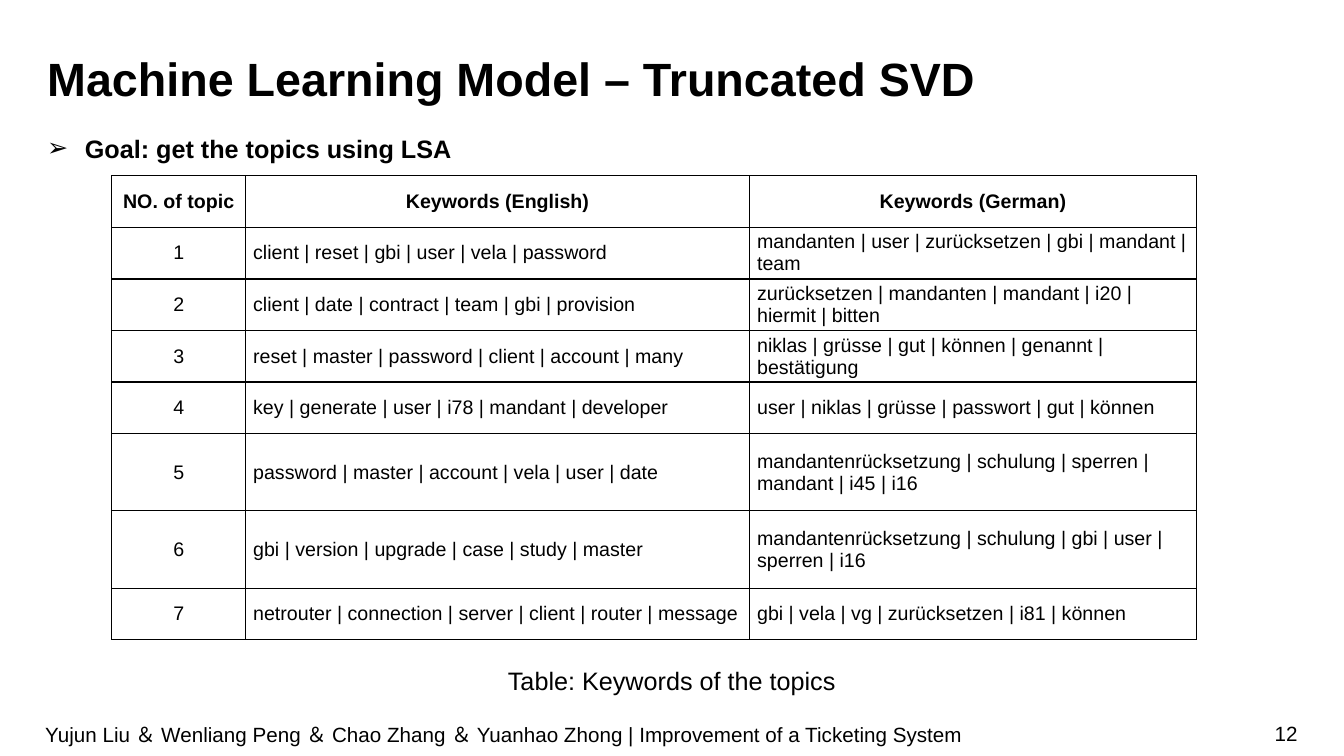
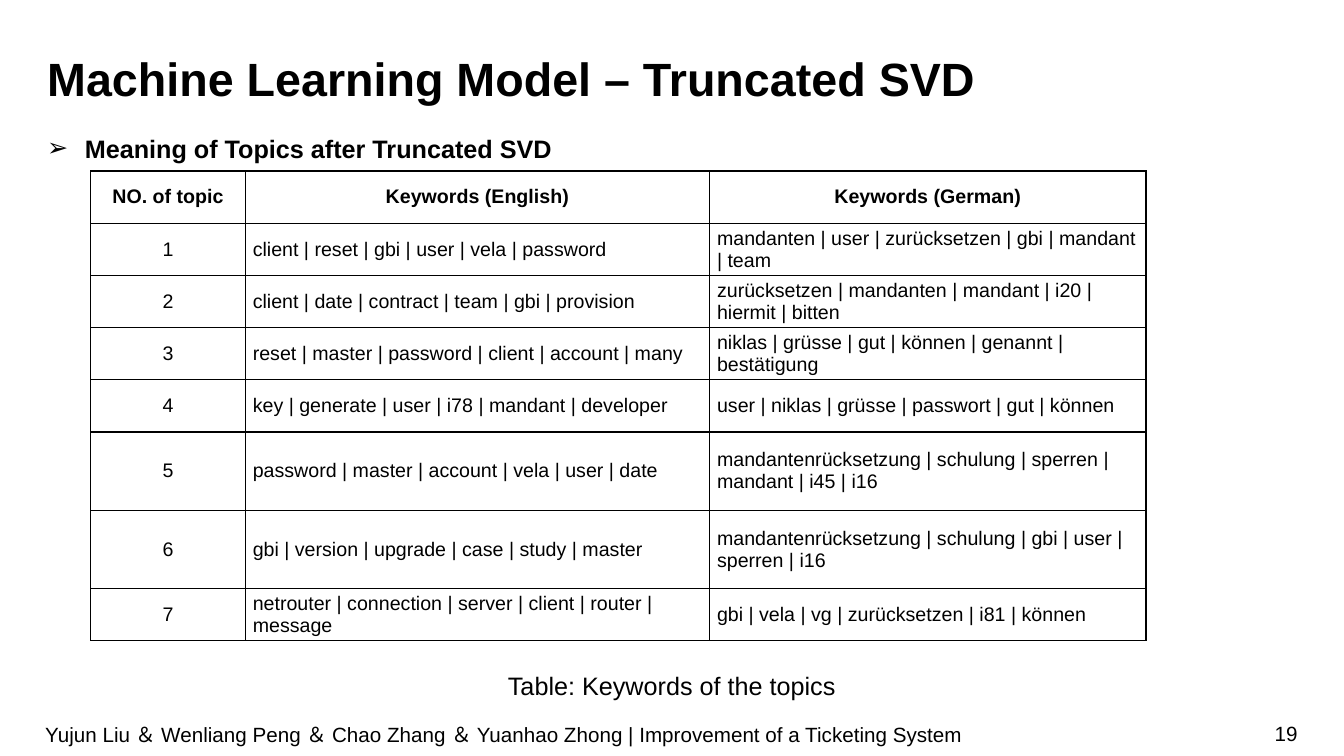
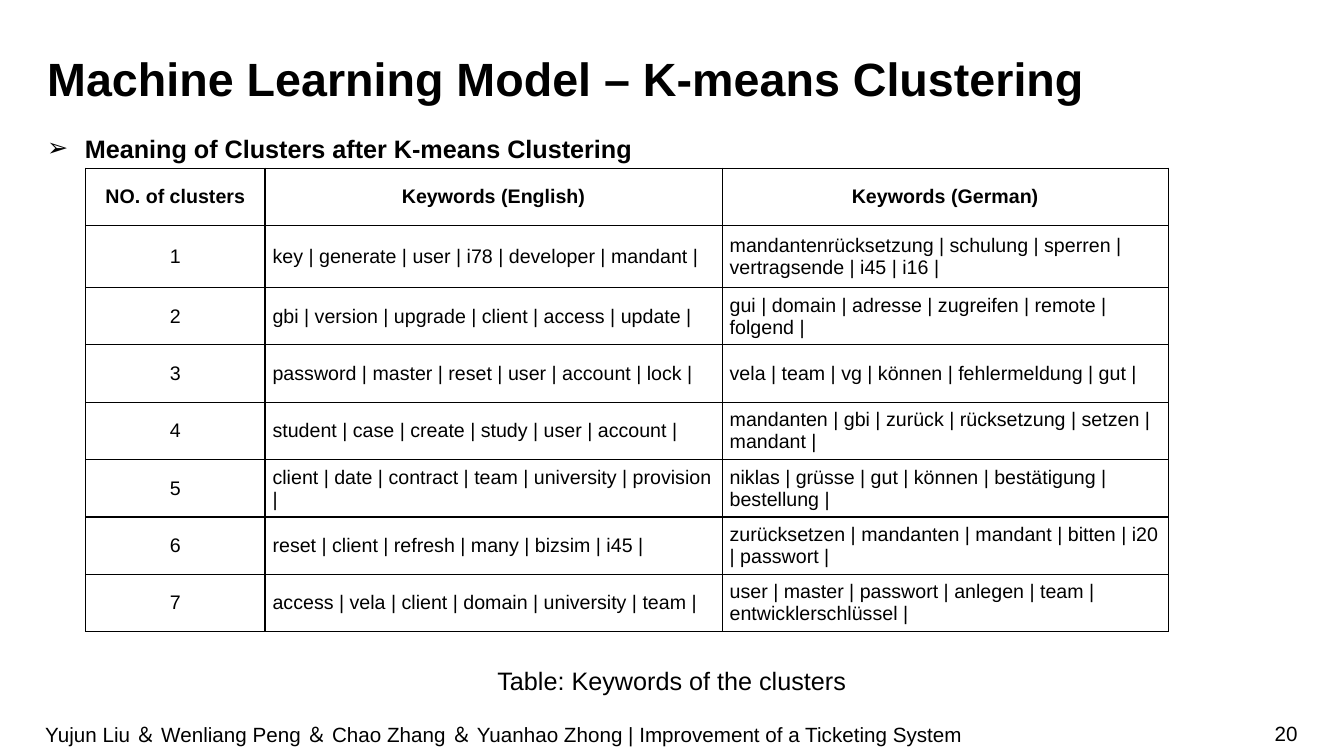
import pptx
import pptx.dml.color
import pptx.enum.text
import pptx.oxml
import pptx.oxml.ns
import pptx.util
from pptx.util import Cm

BLACK = pptx.dml.color.RGBColor(0x00, 0x00, 0x00)
FONT = "Arial"
ALIGN = pptx.enum.text.PP_ALIGN
ANCHOR = pptx.enum.text.MSO_ANCHOR

FOOTER = "Yujun Liu ＆ Wenliang Peng ＆ Chao Zhang ＆ Yuanhao Zhong | Improvement of a Ticketing System"

TOPIC_KEYWORDS = [
    ("client | reset | gbi | user | vela | password",
     "mandanten | user | zurücksetzen | gbi | mandant | team"),
    ("client | date | contract | team | gbi | provision",
     "zurücksetzen | mandanten | mandant | i20 | hiermit | bitten"),
    ("reset | master | password | client | account | many",
     "niklas | grüsse | gut | können | genannt | bestätigung"),
    ("key | generate | user | i78 | mandant | developer",
     "user | niklas | grüsse | passwort | gut | können"),
    ("password | master | account | vela | user | date",
     "mandantenrücksetzung | schulung | sperren | mandant | i45 | i16"),
    ("gbi | version | upgrade | case | study | master",
     "mandantenrücksetzung | schulung | gbi | user | sperren | i16"),
    ("netrouter | connection | server | client | router | message",
     "gbi | vela | vg | zurücksetzen | i81 | können"),
]
CLUSTER_KEYWORDS = [
    ("key | generate | user | i78 | developer | mandant |",
     "mandantenrücksetzung | schulung | sperren | vertragsende | i45 | i16 |"),
    ("gbi | version | upgrade | client | access | update |",
     "gui | domain | adresse | zugreifen | remote | folgend |"),
    ("password | master | reset | user | account | lock |",
     "vela | team | vg | können | fehlermeldung | gut |"),
    ("student | case | create | study | user | account |",
     "mandanten | gbi | zurück | rücksetzung | setzen | mandant |"),
    ("client | date | contract | team | university | provision |",
     "niklas | grüsse | gut | können | bestätigung | bestellung |"),
    ("reset | client | refresh | many | bizsim | i45 |",
     "zurücksetzen | mandanten | mandant | bitten | i20 | passwort |"),
    ("access | vela | client | domain | university | team |",
     "user | master | passwort | anlegen | team | entwicklerschlüssel |"),
]
TOPIC_ROW_WEIGHTS = (1, 1, 1, 1, 1, 1.5, 1.5, 1)
CLUSTER_ROW_WEIGHTS = (1, 1.08, 1, 1, 1, 1, 1, 1)

SLIDES = [
    {"title": "Machine Learning Model – Truncated SVD", "number": 12,
     "goal": "Goal: get the topics using LSA",
     "caption": "Table: Keywords of the topics", "caption_top": 16.66,
     "table": {"counted": "topic", "keywords": TOPIC_KEYWORDS, "left": 2.82, "top": 4.43,
               "widths": (3.37, 12.7, 11.26), "height": 11.7,
               "row_weights": TOPIC_ROW_WEIGHTS}},
    {"title": "Machine Learning Model – Truncated SVD", "number": 19,
     "goal": "Meaning of Topics after Truncated SVD",
     "caption": "Table: Keywords of the topics", "caption_top": 16.78,
     "table": {"counted": "topic", "keywords": TOPIC_KEYWORDS, "left": 2.29, "top": 4.31,
               "widths": (3.89, 11.7, 11), "height": 11.84,
               "row_weights": TOPIC_ROW_WEIGHTS}},
    {"title": "Machine Learning Model – K-means Clustering", "number": 20,
     "goal": "Meaning of Clusters after K-means Clustering",
     "caption": "Table: Keywords of the clusters", "caption_top": 16.66,
     "table": {"counted": "clusters", "keywords": CLUSTER_KEYWORDS, "left": 2.16, "top": 4.24,
               "widths": (4.52, 11.52, 11.24), "height": 11.68,
               "row_weights": CLUSTER_ROW_WEIGHTS}},
]


def set_all(target, values):
    for name, value in values.items():
        setattr(target, name, value)


def add_xml(parent, xml):
    namespace = pptx.oxml.ns.nsdecls("a")
    parent.append(pptx.oxml.parse_xml(xml.replace(" ", f" {namespace} ", 1)))


class Deck:
    """Holds the presentation, its style and the slide being built."""

    def __init__(self):
        self.presentation = pptx.Presentation()
        set_all(self.presentation, {"slide_width": Cm(33.87), "slide_height": Cm(19.05)})
        self.slide = None

    def put_text(self, text_frame, text, size, bold=False, **paragraph_format):
        paragraph = text_frame.paragraphs[0]
        run = paragraph.add_run()
        run.text = text
        set_all(run.font, {"name": FONT, "size": pptx.util.Pt(size), "bold": bold})
        run.font.color.rgb = BLACK
        set_all(paragraph, paragraph_format)
        return paragraph

    def set_frame(self, text_frame, anchor=ANCHOR.TOP, vertical_margin=0):
        margin = Cm(vertical_margin)
        set_all(text_frame, {"word_wrap": True, "vertical_anchor": anchor,
                             "auto_size": pptx.enum.text.MSO_AUTO_SIZE.NONE,
                             "margin_left": 0, "margin_right": 0,
                             "margin_top": margin, "margin_bottom": margin})

    def text_box(self, box, text, size, bold=False, anchor=ANCHOR.TOP,
                 vertical_margin=0, **paragraph_format):
        """Add text in a box given as left, top, width, height in cm."""
        shape = self.slide.shapes.add_textbox(*map(Cm, box))
        self.set_frame(shape.text_frame, anchor, vertical_margin)
        return self.put_text(shape.text_frame, text, size, bold, **paragraph_format)

    def start_slide(self, title, number):
        self.slide = self.presentation.slides.add_slide(self.presentation.slide_layouts[5])
        shape = self.slide.shapes.title
        set_all(shape, {"left": Cm(1.19), "top": Cm(1.17), "width": Cm(31.52), "height": Cm(1.42)})
        self.set_frame(shape.text_frame)
        self.put_text(shape.text_frame, title, 33.3, True, alignment=ALIGN.LEFT,
                      line_spacing=pptx.util.Pt(42.7))
        footer_format = {"size": 14.7, "anchor": ANCHOR.MIDDLE, "vertical_margin": 0.13}
        self.text_box((25.1, 17.98, 7.6, 1.02), str(number), alignment=ALIGN.RIGHT, **footer_format)
        self.text_box((1.14, 17.98, 29, 1.07), FOOTER, alignment=ALIGN.LEFT, **footer_format)

    def goal(self, text):
        paragraph = self.text_box((1.19, 2.92, 31.52, 1.3), text, 18, True,
                                  alignment=ALIGN.JUSTIFY, line_spacing=1.57,
                                  space_before=pptx.util.Pt(6), space_after=pptx.util.Pt(6))
        properties = paragraph._p.get_or_add_pPr()
        indent = Cm(0.95)
        properties.set("marL", str(indent))
        properties.set("indent", str(-indent))
        add_xml(properties, f'<a:buFont typeface="{FONT}"/>')
        add_xml(properties, '<a:buChar char="➢"/>')

    def caption(self, text, top):
        self.text_box((10.95, top, 11.96, 0.81), text, 18,
                      alignment=ALIGN.CENTER, line_spacing=1.14)

    def cell(self, cell, text, bold, alignment):
        set_all(cell, {"vertical_anchor": ANCHOR.MIDDLE, "margin_top": 0, "margin_bottom": 0,
                       "margin_left": Cm(0.19), "margin_right": Cm(0.19)})
        self.put_text(cell.text_frame, text, 14, bold, alignment=alignment,
                      space_before=pptx.util.Pt(6), space_after=pptx.util.Pt(6))
        properties = cell._tc.get_or_add_tcPr()
        for side in "LRTB":
            add_xml(properties, f'<a:ln{side} w="{pptx.util.Pt(1)}"><a:solidFill>'
                                f'<a:srgbClr val="{BLACK}"/></a:solidFill></a:ln{side}>')
        cell.fill.background()

    def keyword_table(self, counted, keywords, left, top, widths, height, row_weights):
        """Add a numbered keyword table; row_weights share out its height."""
        rows = [(f"NO. of {counted}", "Keywords (English)", "Keywords (German)")]
        rows += [(str(number), *pair) for number, pair in enumerate(keywords, 1)]
        table = self.slide.shapes.add_table(len(rows), len(widths), Cm(left), Cm(top),
                                            Cm(sum(widths)), Cm(height)).table
        set_all(table, {"first_row": False, "horz_banding": False})
        for column, width in zip(table.columns, widths):
            column.width = Cm(width)
        for row, weight in zip(table.rows, row_weights):
            row.height = Cm(height * weight / sum(row_weights))
        for row_index, texts in enumerate(rows):
            for column_index, text in enumerate(texts):
                is_header = row_index == 0
                centred = is_header or column_index == 0
                self.cell(table.cell(row_index, column_index), text, is_header,
                          ALIGN.CENTER if centred else ALIGN.LEFT)


def main():
    deck = Deck()
    for content in SLIDES:
        deck.start_slide(content["title"], content["number"])
        deck.goal(content["goal"])
        deck.keyword_table(**content["table"])
        deck.caption(content["caption"], content["caption_top"])
    deck.presentation.save("out.pptx")


if __name__ == "__main__":
    main()
